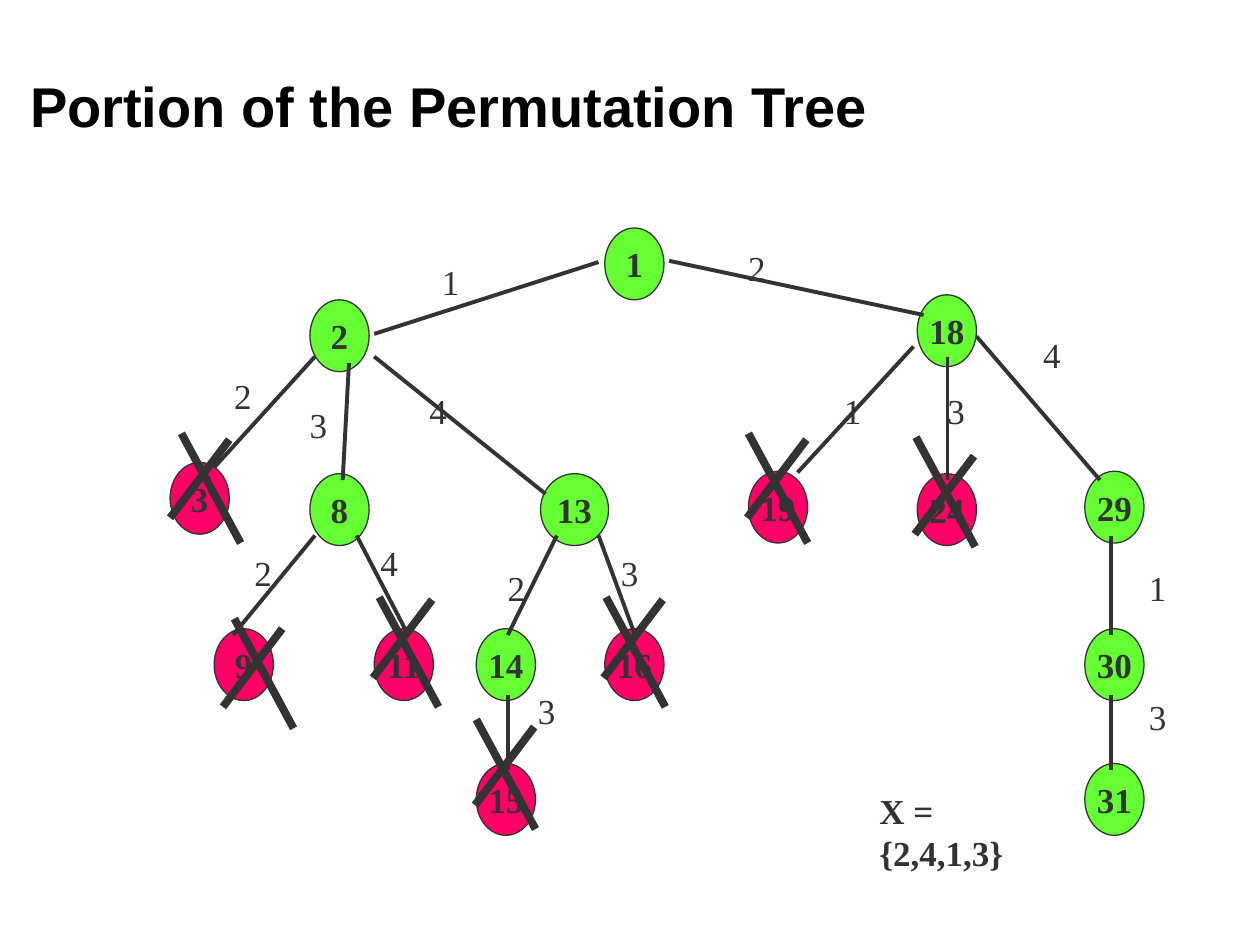
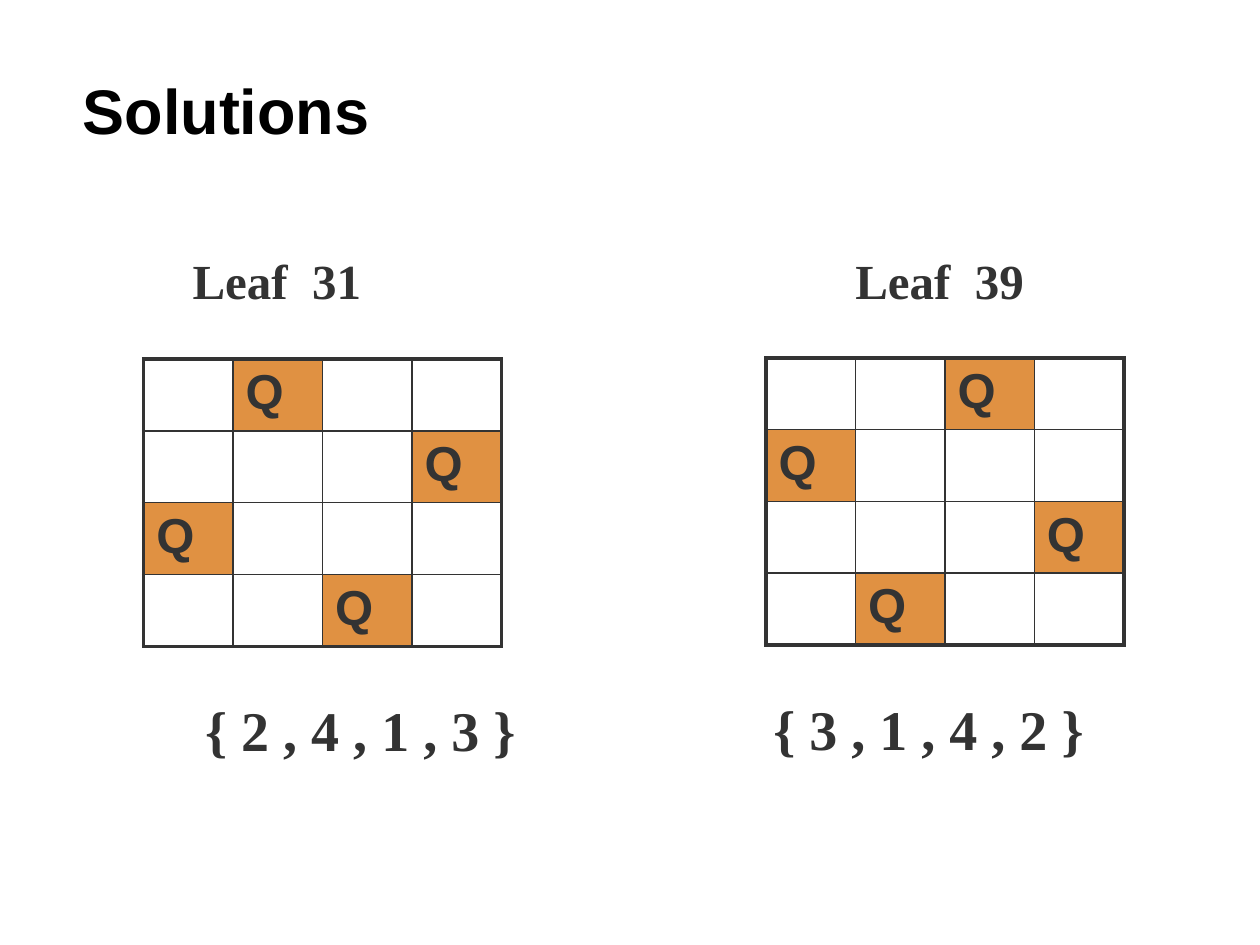
from dataclasses import dataclass
from typing import NamedTuple

from lxml import etree
from pptx import Presentation
from pptx import util as u
from pptx.dml.color import RGBColor
from pptx.enum import shapes, text
from pptx.oxml import ns

EMU_PER_PX = 9144  # 100 px to the inch


def px(length: int) -> u.Emu:
    return u.Emu(length * EMU_PER_PX)


@dataclass(frozen=True)
class Theme:
    ink: str = "333333"
    title_ink: str = "000000"
    alive: str = "66FF33"
    pruned: str = "FF0066"
    queen: str = "E09142"
    sans: str = "Arial"
    serif: str = "Times New Roman"
    tree_size: int = 20
    board_size: int = 28
    large_size: int = 32
    solutions_title_size: int = 36
    space_before: int = 3
    outline: float = 0.75
    edge: float = 2.25
    cross: float = 4.5
    grid: float = 1
    frame: float = 2.25


THEME = Theme()


class Box(NamedTuple):
    left: int
    top: int
    width: int
    height: int


class Node(NamedTuple):
    name: str
    left: int
    top: int
    pruned: bool = False
    width: int = 47


class Line(NamedTuple):
    x1: int
    y1: int
    x2: int
    y2: int


class Cross(NamedTuple):
    """Left and top of the falling stroke and of the rising stroke."""
    fall_left: int
    fall_top: int
    rise_left: int
    rise_top: int


class Label(NamedTuple):
    content: str
    left: int
    top: int


class Solution(NamedTuple):
    heading: Label
    board_left: int
    board_top: int
    columns: tuple[int, ...]
    answer: str
    answer_box: Box
    answer_wraps: bool


NODE_HEIGHT = 57
NODES = [
    Node("1", 480, 181),
    Node("15", 378, 606, True),
    Node("16", 480, 499, True),
    Node("14", 378, 499),
    Node("11", 297, 499, True),
    Node("9", 170, 499, True),
    Node("13", 429, 376, width=54),
    Node("24", 728, 376, True),
    Node("19", 594, 374, True),
    Node("8", 246, 376),
    Node("3", 135, 367, True),
    Node("2", 246, 238),
    Node("18", 728, 234),
    Node("29", 861, 374),
    Node("30", 861, 499),
    Node("31", 861, 606),
]
EDGES = [
    Line(475, 208, 297, 265), Line(531, 207, 733, 250),
    Line(250, 283, 170, 371), Line(277, 288, 272, 381),
    Line(297, 283, 433, 392), Line(250, 425, 185, 504),
    Line(283, 425, 324, 504), Line(442, 425, 403, 504),
    Line(475, 425, 504, 504), Line(403, 552, 403, 611),
    Line(725, 275, 633, 375), Line(752, 283, 752, 381),
    Line(775, 267, 873, 381), Line(882, 425, 882, 504),
    Line(882, 552, 882, 611),
]
CROSSES = [
    Cross(144, 344, 135, 349), Cross(378, 571, 377, 577),
    Cross(301, 474, 296, 476), Cross(186, 491, 177, 499),
    Cross(481, 474, 479, 476), Cross(594, 344, 593, 349),
    Cross(727, 347, 726, 362),
]
STROKE_WIDTH, FALL_HEIGHT, RISE_HEIGHT = 47, 87, 62
EDGE_LABELS = [
    Label("2", 584, 191), Label("4", 818, 260), Label("1", 902, 445),
    Label("3", 902, 547), Label("1", 341, 202), Label("2", 176, 292),
    Label("3", 236, 315), Label("4", 331, 304), Label("2", 192, 433),
    Label("4", 292, 425), Label("2", 393, 445), Label("3", 483, 433),
    Label("3", 417, 542), Label("1", 660, 304), Label("3", 742, 304),
]
BOARD_CELL_WIDTH, BOARD_CELL_HEIGHT = 71, 57
SOLUTIONS = [
    Solution(Label("Leaf  39", 669, 194), 608, 284, (3, 1, 4, 2),
             "{ 3 , 1 , 4 , 2 }", Box(604, 546, 283, 64), True),
    Solution(Label("Leaf  31", 143, 194), 114, 285, (2, 4, 1, 3),
             "{ 2 , 4 , 1 , 3 }", Box(153, 547, 269, 64), False),
]


def write_text(frame, content: str, *, size: int, font: str = THEME.serif,
               color: str = THEME.ink, bold: bool = True, before: int = THEME.space_before,
               align: text.PP_ALIGN = text.PP_ALIGN.LEFT) -> None:
    paragraph = frame.paragraphs[0]
    paragraph.alignment = align
    paragraph.space_before = u.Pt(before)
    run = paragraph.add_run()
    run.text = content
    run.font.name = font
    run.font.size = u.Pt(size)
    run.font.bold = bold
    run.font.color.rgb = RGBColor.from_string(color)


def add_text(slide, box: Box, content: str, *, wrap: bool = False, **style) -> None:
    frame = slide.shapes.add_textbox(*map(px, box)).text_frame
    frame.word_wrap = wrap
    frame.auto_size = text.MSO_AUTO_SIZE.SHAPE_TO_FIT_TEXT
    write_text(frame, content, **style)


def add_title(slide, box: Box, content: str, size: int) -> None:
    frame = slide.shapes.add_textbox(*map(px, box)).text_frame
    frame.word_wrap = True
    frame.vertical_anchor = text.MSO_ANCHOR.MIDDLE
    write_text(frame, content, size=size, font=THEME.sans, color=THEME.title_ink, before=0)


def add_node(slide, node: Node) -> None:
    box = Box(node.left, node.top, node.width, NODE_HEIGHT)
    shape = slide.shapes.add_shape(shapes.MSO_SHAPE.OVAL, *map(px, box))
    shape.shadow.inherit = False
    shape.fill.solid()
    shape.fill.fore_color.rgb = RGBColor.from_string(THEME.pruned if node.pruned else THEME.alive)
    shape.line.color.rgb = RGBColor.from_string(THEME.ink)
    shape.line.width = u.Pt(THEME.outline)
    frame = shape.text_frame
    frame.word_wrap = False
    frame.vertical_anchor = text.MSO_ANCHOR.MIDDLE
    write_text(frame, node.name, size=THEME.tree_size, align=text.PP_ALIGN.CENTER)


def add_line(slide, line: Line, width: float) -> None:
    connector = slide.shapes.add_connector(shapes.MSO_CONNECTOR.STRAIGHT, *map(px, line))
    connector.line.color.rgb = RGBColor.from_string(THEME.ink)
    connector.line.width = u.Pt(width)
    etree.SubElement(connector._element.spPr, ns.qn("a:effectLst"))


def add_cross(slide, cross: Cross) -> None:
    left, top = cross.fall_left, cross.fall_top
    add_line(slide, Line(left, top, left + STROKE_WIDTH, top + FALL_HEIGHT), THEME.cross)
    left, top = cross.rise_left, cross.rise_top
    add_line(slide, Line(left + STROKE_WIDTH, top, left, top + RISE_HEIGHT), THEME.cross)


def set_borders(cell, widths: dict[str, float]) -> None:
    properties = cell._tc.get_or_add_tcPr()
    for side, width in widths.items():
        line = etree.SubElement(properties, ns.qn(f"a:ln{side}"), w=str(u.Pt(width)))
        fill = etree.SubElement(line, ns.qn("a:solidFill"))
        etree.SubElement(fill, ns.qn("a:srgbClr"), val=THEME.ink)


def add_board(slide, solution: Solution) -> None:
    """Draw a square board with the queen of each row in its given column."""
    count = len(solution.columns)
    box = Box(solution.board_left, solution.board_top,
              count * BOARD_CELL_WIDTH, count * BOARD_CELL_HEIGHT)
    table = slide.shapes.add_table(count, count, *map(px, box)).table
    table.first_row = table.horz_banding = False
    for row, queen_column in enumerate(solution.columns):
        for column in range(count):
            cell = table.cell(row, column)
            outer = {"L": column == 0, "R": column == count - 1,
                     "T": row == 0, "B": row == count - 1}
            set_borders(cell, {side: THEME.frame if on_frame else THEME.grid
                               for side, on_frame in outer.items()})
            if column == queen_column - 1:
                cell.fill.solid()
                cell.fill.fore_color.rgb = RGBColor.from_string(THEME.queen)
                write_text(cell.text_frame, "Q", size=THEME.board_size,
                           font=THEME.sans, before=0)
            else:
                cell.fill.background()


def build_tree_slide(slide) -> None:
    add_title(slide, Box(14, 21, 973, 125), "Portion of the Permutation Tree", THEME.large_size)
    for node in NODES:
        add_node(slide, node)
    for edge in EDGES:
        add_line(slide, edge, THEME.edge)
    for cross in CROSSES:
        add_cross(slide, cross)
    for label in EDGE_LABELS:
        add_text(slide, Box(label.left, label.top, 34, 43), label.content,
                 size=THEME.tree_size, bold=False)
    add_text(slide, Box(688, 622, 168, 43), "X = {2,4,1,3}", size=THEME.tree_size)


def build_solutions_slide(slide) -> None:
    add_title(slide, Box(42, 37, 850, 100), " Solutions", THEME.solutions_title_size)
    for solution in SOLUTIONS:
        heading = solution.heading
        add_board(slide, solution)
        add_text(slide, Box(heading.left, heading.top, 155, 57), heading.content,
                 size=THEME.board_size)
        add_text(slide, solution.answer_box, solution.answer,
                 size=THEME.large_size, wrap=solution.answer_wraps)


def main() -> None:
    presentation = Presentation()
    presentation.slide_width, presentation.slide_height = px(1000), px(750)
    blank = presentation.slide_layouts[6]
    for build in (build_tree_slide, build_solutions_slide):
        build(presentation.slides.add_slide(blank))
    presentation.save("out.pptx")


if __name__ == "__main__":
    main()
